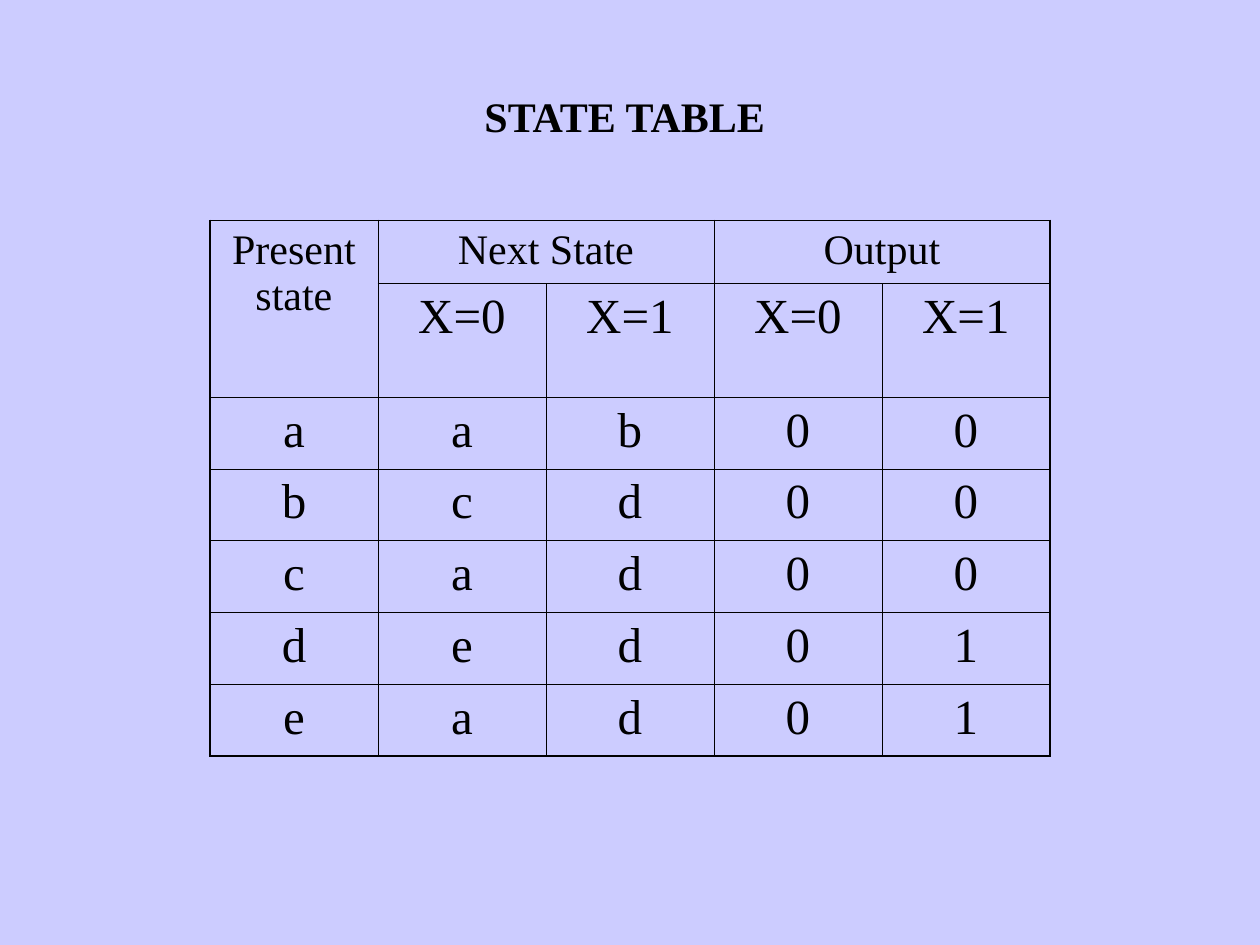
from lxml import etree
from pptx import Presentation
from pptx.dml.color import RGBColor
from pptx.enum import text
from pptx.oxml.ns import qn
from pptx.util import Pt

FONT = "Times New Roman"
INK = "000000"
THIN, THICK = 0.45, 1.08
STATES = ["aab00", "bcd00", "cad00", "ded01", "ead01"]
ROWS = [
    ["Present state", "Next State", "", "Output", ""],
    ["", "X=0", "X=1", "X=0", "X=1"],
    *map(list, STATES),
]
MERGES = [((0, 0), (1, 0)), ((0, 1), (0, 2)), ((0, 3), (0, 4))]
HEIGHTS = [36, 65] + [41] * len(STATES)


def color(code):
    return RGBColor.from_string(code)


def style(para, size, bold=False):
    para.alignment = text.PP_ALIGN.CENTER
    font = para.font
    font.name, font.size, font.bold = FONT, Pt(size), bold
    font.color.rgb = color(INK)


def border(cell, widths):
    # Lines come before the fill, in the order left, right, top, bottom
    props = cell._tc.get_or_add_tcPr()
    for i, (side, width) in enumerate(zip("LRTB", widths)):
        line = etree.Element(qn(f"a:ln{side}"), w=str(int(Pt(width))))
        fill = etree.SubElement(line, qn("a:solidFill"))
        etree.SubElement(fill, qn("a:srgbClr"), val=INK)
        props.insert(i, line)


def add_title(slide, left, top, width, height):
    title = slide.shapes.title
    title.left, title.top = Pt(left), Pt(top)
    title.width, title.height = Pt(width), Pt(height)
    frame = title.text_frame
    frame.text = "STATE TABLE"
    frame.word_wrap = True
    frame.auto_size = text.MSO_AUTO_SIZE.NONE
    frame.vertical_anchor = text.MSO_ANCHOR.TOP
    style(frame.paragraphs[0], 24, bold=True)


def add_states(slide, left, top, width):
    rows, cols = len(ROWS), len(ROWS[0])
    table = slide.shapes.add_table(
        rows, cols, Pt(left), Pt(top), Pt(width), Pt(sum(HEIGHTS))).table
    table.first_row = table.horz_banding = False
    for col in table.columns:
        col.width = Pt(width / cols)
    for row, height in zip(table.rows, HEIGHTS):
        row.height = Pt(height)
    for start, end in MERGES:
        table.cell(*start).merge(table.cell(*end))

    # Cells, with a heavier line round the outside
    for r, row in enumerate(ROWS):
        for c, label in enumerate(row):
            cell = table.cell(r, c)
            cell.fill.background()
            high = cell.span_height if cell.is_merge_origin else 1
            wide = cell.span_width if cell.is_merge_origin else 1
            outer = (c == 0, c + wide == cols, r == 0, r + high == rows)
            border(cell, [THICK if edge else THIN for edge in outer])
            if label:
                cell.text = label
                style(cell.text_frame.paragraphs[0], 24 if r == 0 else 28)


def main():
    deck = Presentation()
    deck.slide_width, deck.slide_height = Pt(720), Pt(540)
    slide = deck.slides.add_slide(deck.slide_layouts[5])
    back = slide.background.fill
    back.solid()
    back.fore_color.rgb = color("CCCCFF")
    add_title(slide, 180, 48, 354, 36)
    add_states(slide, 120, 126, 480)
    deck.save("out.pptx")


if __name__ == "__main__":
    main()
